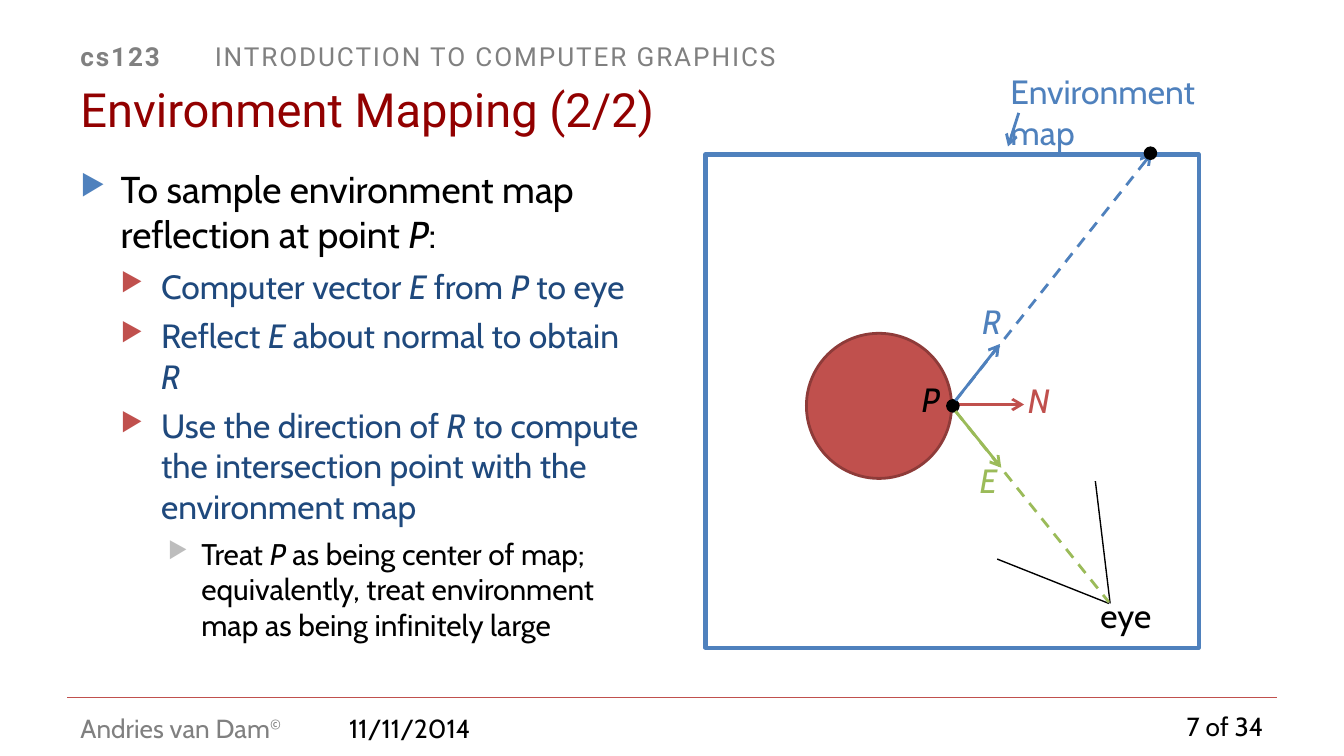
from lxml import etree
from pptx import Presentation
from pptx.dml.color import RGBColor
from pptx.enum.dml import MSO_LINE
from pptx.enum.shapes import MSO_CONNECTOR, MSO_SHAPE
from pptx.enum.text import MSO_ANCHOR, PP_ALIGN
from pptx.oxml.ns import qn
from pptx.util import Inches, Pt

STRAIGHT = MSO_CONNECTOR.STRAIGHT
RECT = MSO_SHAPE.RECTANGLE
OVAL = MSO_SHAPE.OVAL
DASH = MSO_LINE.DASH
TOP = MSO_ANCHOR.TOP
MIDDLE = MSO_ANCHOR.MIDDLE
LEFT = PP_ALIGN.LEFT
RIGHT = PP_ALIGN.RIGHT

COLORS = {
    "black": "000000",
    "white": "FFFFFF",
    "gray": "808080",
    "pale": "BDBDBD",
    "title": "920000",
    "navy": "1F497D",
    "blue": "4F81BD",
    "red": "C0504D",
    "brick": "8E3B39",
    "green": "9BBB59",
}

LEVELS = [
    {"size": 20, "color": "black", "mark": "blue", "left": 0.3, "hang": 0.3, "gap": 6},
    {"size": 18, "color": "navy", "mark": "red", "left": 0.6, "hang": 0.3, "gap": 5},
    {"size": 16, "color": "black", "mark": "pale", "left": 0.9, "hang": 0.25, "gap": 5},
]

POINTS = [
    (0, "To sample environment map reflection at point *P*:"),
    (1, "Computer vector *E* from *P* to eye"),
    (1, "Reflect *E* about normal to obtain *R*"),
    (1, "Use the direction of *R* to compute the intersection point with the environment map"),
    (2, "Treat *P* as being center of map; equivalently, treat environment map as being infinitely large"),
]


def rgb(name):
    return RGBColor.from_string(COLORS[name])


def write(para, text, size=14, color="black", font="Cabin", align=LEFT,
          italic=False, accent="italic", track=0):
    para.alignment = align
    for num, part in enumerate(text.split("*")):
        if not part:
            continue
        run = para.add_run()
        run.text = part
        run.font.size = Pt(size)
        run.font.name = font
        run.font.color.rgb = rgb(color)
        marked = num % 2 == 1
        run.font.italic = italic or (marked and accent == "italic")
        run.font.bold = marked and accent == "bold"
        props = run._r.get_or_add_rPr()
        if marked and accent == "super":
            props.set("baseline", "30000")
        if track:
            props.set("spc", str(track * 100))


def add_box(slide, left, top, width, height, anchor=TOP):
    box = slide.shapes.add_textbox(Inches(left), Inches(top), Inches(width), Inches(height))
    frame = box.text_frame
    frame.word_wrap = True
    frame.vertical_anchor = anchor
    return frame


def add_label(slide, text, left, top, width, height, anchor=TOP, **style):
    frame = add_box(slide, left, top, width, height, anchor)
    write(frame.paragraphs[0], text, **style)


def add_form(slide, kind, left, top, width, height, fill=None, line=None, weight=1.5):
    form = slide.shapes.add_shape(kind, Inches(left), Inches(top), Inches(width), Inches(height))
    form.shadow.inherit = False
    if fill:
        form.fill.solid()
        form.fill.fore_color.rgb = rgb(fill)
    else:
        form.fill.background()
    if line:
        form.line.color.rgb = rgb(line)
        form.line.width = Pt(weight)
    else:
        form.line.fill.background()
    return form


def add_dot(slide, left, top):
    add_form(slide, OVAL, left, top, 0.08, 0.08, fill="black", line="black")


def add_line(slide, start, end, color, weight=1.5, dash=False, arrow=False):
    line = slide.shapes.add_connector(STRAIGHT, *map(Inches, start + end))
    line.line.color.rgb = rgb(color)
    line.line.width = Pt(weight)
    if dash:
        line.line.dash_style = DASH
    if arrow:
        etree.SubElement(line.line._get_or_add_ln(), qn("a:tailEnd"), type="arrow")
    etree.SubElement(line._element.spPr, qn("a:effectLst"))


def add_mark(para, color, left, hang):
    props = para._p.get_or_add_pPr()
    props.set("marL", str(Inches(left)))
    props.set("indent", str(-Inches(hang)))
    tint = etree.SubElement(props, qn("a:buClr"))
    etree.SubElement(tint, qn("a:srgbClr"), val=COLORS[color])
    etree.SubElement(props, qn("a:buSzPct"), val="76000")
    etree.SubElement(props, qn("a:buChar"), char="▶")


def add_frame(slide):
    add_label(slide, "11/11/2014", 2.5, 5.25, 5.58, 0.26)
    head = add_form(slide, RECT, 0.5, 0.25, 9, 0.25, fill="white").text_frame
    head.vertical_anchor = TOP
    write(head.paragraphs[0], "*cs123 \t*INTRODUCTION TO COMPUTER GRAPHICS",
          color="gray", font="Roboto", accent="bold", track=1)
    add_label(slide, "Andries van Dam*©*", 0.5, 5.25, 1.92, 0.34, color="gray", accent="super")
    add_label(slide, "7 of 34", 8.33, 5.24, 1.17, 0.34, align=RIGHT)
    add_line(slide, (0.5, 5.19), (9.5, 5.19), "red", 0.75)
    add_label(slide, "Environment Mapping (2/2)", 0.5, 0.56, 9, 0.5, MIDDLE,
              size=25.2, color="title", font="Roboto")


def add_points(slide):
    frame = add_box(slide, 0.5, 1.19, 4.35, 3.94)
    for num, (level, text) in enumerate(POINTS):
        para = frame.add_paragraph() if num else frame.paragraphs[0]
        look = LEVELS[level]
        para.level = level
        para.space_before = Pt(look["gap"])
        add_mark(para, look["mark"], look["left"], look["hang"])
        write(para, text, size=look["size"], color=look["color"])


def add_name(slide, text, left, top, color):
    add_label(slide, text, left, top, 0.36, 0.4, size=18, color=color, italic=True)


def add_scene(slide):
    add_form(slide, RECT, 5.25, 1.15, 3.67, 3.67, line="blue", weight=2.25)
    add_form(slide, OVAL, 6, 2.48, 1.08, 1.08, fill="red", line="brick")
    add_label(slide, "Environment map", 7.42, 0.48, 2.08, 0.42, size=18, color="blue")
    add_line(slide, (7.58, 0.84), (7.5, 1.09), "blue", arrow=True)

    add_label(slide, "eye", 8.09, 4.38, 0.67, 0.4, size=18)
    add_line(slide, (8.26, 4.49), (8.15, 3.58), "black", 0.75)
    add_line(slide, (8.25, 4.49), (7.42, 4.16), "black", 0.75)

    upper, lower = (7.11, 2.98), (7.11, 3.06)
    add_name(slide, "P", 6.76, 2.77, "black")
    add_line(slide, lower, (7.45, 3.48), "green", arrow=True)
    add_name(slide, "E", 7.19, 3.37, "green")
    add_line(slide, (7.13, 3.01), (7.62, 3.01), "red", arrow=True)
    add_name(slide, "N", 7.55, 2.78, "red")
    add_line(slide, upper, (7.44, 2.56), "blue", arrow=True)
    add_dot(slide, 7.05, 2.98)
    add_line(slide, upper, (8.57, 1.14), "blue", dash=True, arrow=True)
    add_dot(slide, 8.52, 1.1)
    add_name(slide, "R", 7.21, 2.19, "blue")
    add_line(slide, lower, (8.25, 4.48), "green", dash=True)


def main():
    deck = Presentation()
    deck.slide_width = Inches(10)
    deck.slide_height = deck.slide_width * 9 // 16
    slide = deck.slides.add_slide(deck.slide_layouts[6])
    add_frame(slide)
    add_points(slide)
    add_scene(slide)
    deck.save("out.pptx")


if __name__ == "__main__":
    main()
